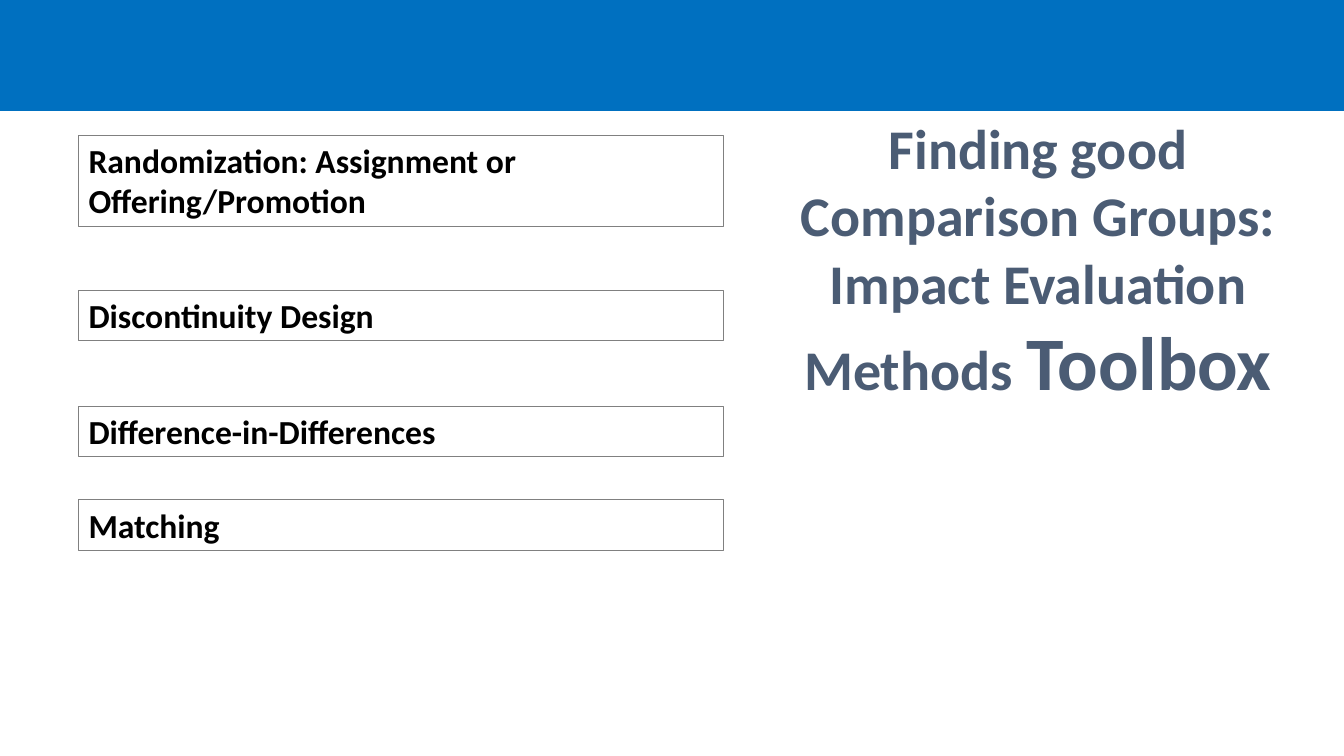
from dataclasses import dataclass

from pptx import Presentation
from pptx.dml.color import RGBColor
from pptx.enum.shapes import MSO_SHAPE
from pptx.enum.text import MSO_ANCHOR, PP_ALIGN
from pptx.shapes.autoshape import Shape
from pptx.slide import Slide
from pptx.util import Inches, Pt

BLUE = RGBColor(0x00, 0x70, 0xC0)
SLATE = RGBColor(0x4B, 0x5C, 0x74)
GRAY = RGBColor(0x80, 0x80, 0x80)
BLACK = RGBColor(0x00, 0x00, 0x00)

FONT = "Calibri"
METHOD_LEFT = 0.78
METHOD_WIDTH = 6.4


@dataclass(frozen=True)
class Method:
    name: str
    top: float
    height: float = 0.5


@dataclass(frozen=True)
class Phrase:
    text: str
    size: float


METHODS = [
    Method("Randomization: Assignment or Offering/Promotion", 1.34, 0.91),
    Method("Discontinuity Design", 2.88),
    Method("Difference-in-Differences", 4.03),
    Method("Matching", 4.96),
]

TITLE = [
    [Phrase("Finding good Comparison Groups:", 40)],
    [
        Phrase("Impact Evaluation Methods", 40),
        Phrase(" ", 44),
        Phrase("Toolbox", 54),
    ],
]


def write_text(
    shape: Shape,
    paragraphs: list[list[Phrase]],
    *,
    color: RGBColor,
    align: PP_ALIGN = PP_ALIGN.LEFT,
) -> None:
    frame = shape.text_frame
    frame.word_wrap = True
    frame.vertical_anchor = MSO_ANCHOR.TOP
    for index, phrases in enumerate(paragraphs):
        paragraph = frame.add_paragraph() if index else frame.paragraphs[0]
        paragraph.alignment = align
        for phrase in phrases:
            run = paragraph.add_run()
            run.text = phrase.text
            run.font.name = FONT
            run.font.size = Pt(phrase.size)
            run.font.bold = True
            run.font.color.rgb = color


def add_rectangle(
    slide: Slide,
    left: float,
    top: float,
    width: float,
    height: float,
    *,
    line: RGBColor,
    line_width: float,
    fill: RGBColor | None = None,
) -> Shape:
    rectangle = slide.shapes.add_shape(
        MSO_SHAPE.RECTANGLE, Inches(left), Inches(top), Inches(width), Inches(height)
    )
    rectangle.shadow.inherit = False
    if fill is None:
        rectangle.fill.background()
    else:
        rectangle.fill.solid()
        rectangle.fill.fore_color.rgb = fill
    rectangle.line.color.rgb = line
    rectangle.line.width = Pt(line_width)
    return rectangle


def add_method(slide: Slide, method: Method) -> None:
    box = add_rectangle(
        slide, METHOD_LEFT, method.top, METHOD_WIDTH, method.height,
        line=GRAY, line_width=0.75,
    )
    write_text(box, [[Phrase(method.name, 24)]], color=BLACK)


def main() -> None:
    presentation = Presentation()
    presentation.slide_width = Inches(13.33)
    presentation.slide_height = Inches(7.5)
    slide = presentation.slides.add_slide(presentation.slide_layouts[6])

    add_rectangle(slide, 0, 0, 13.33, 1.1, line=BLUE, line_width=1, fill=BLUE)
    title = slide.shapes.add_textbox(
        Inches(7.43), Inches(1.08), Inches(5.73), Inches(3.03)
    )
    write_text(title, TITLE, color=SLATE, align=PP_ALIGN.CENTER)
    for method in METHODS:
        add_method(slide, method)

    presentation.save("out.pptx")


if __name__ == "__main__":
    main()
